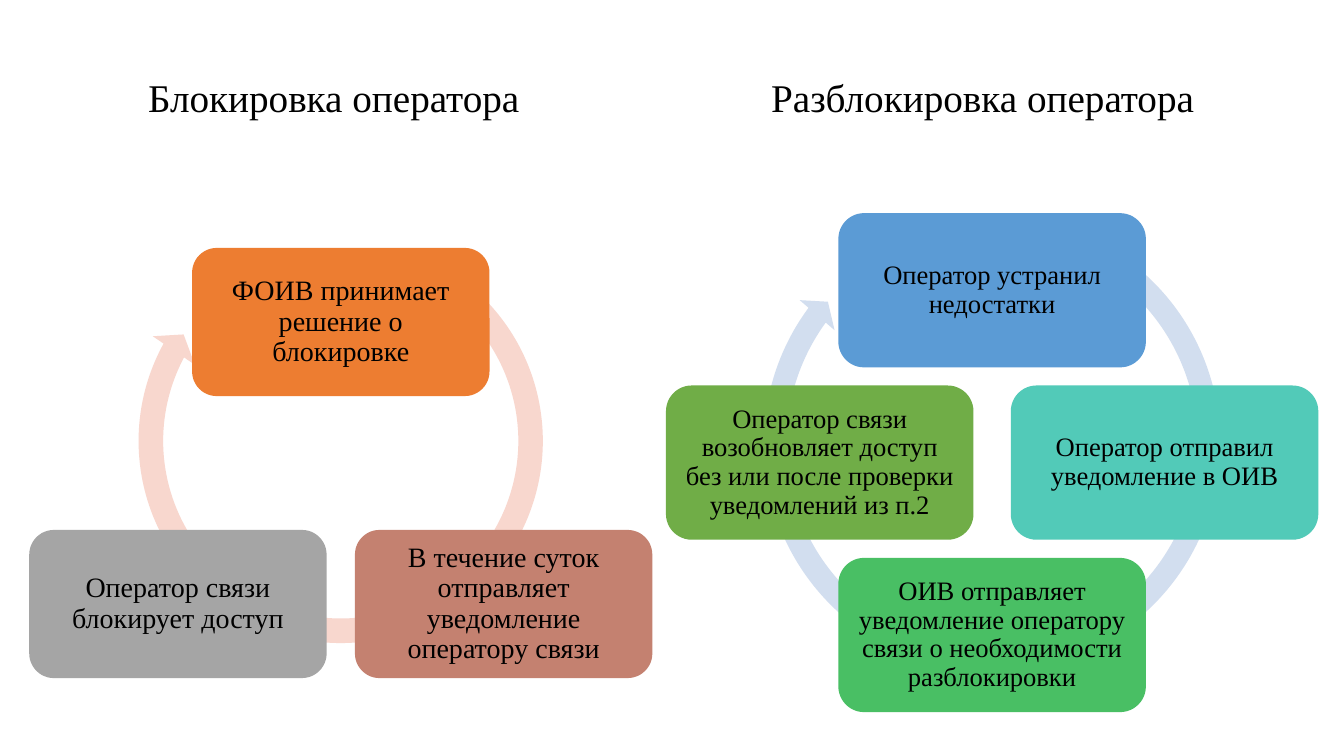
from dataclasses import dataclass
from math import cos, pi, sin

from pptx import Presentation
from pptx.dml.color import RGBColor
from pptx.enum.shapes import MSO_SHAPE
from pptx.enum.text import MSO_ANCHOR, MSO_AUTO_SIZE, PP_ALIGN
from pptx.util import Inches, Pt

ARROW = MSO_SHAPE.CIRCULAR_ARROW
ROUND = MSO_SHAPE.ROUNDED_RECTANGLE
MIDDLE = MSO_ANCHOR.MIDDLE
CENTER = PP_ALIGN.CENTER
LEFT = PP_ALIGN.LEFT
GROW = MSO_AUTO_SIZE.SHAPE_TO_FIT_TEXT

FONT = "Times New Roman"
INK = "000000"
PAD = Inches(0.08)
STEP = {
    "word_wrap": True,
    "vertical_anchor": MIDDLE,
    "margin_left": PAD,
    "margin_right": PAD,
    "margin_top": PAD,
    "margin_bottom": PAD,
}
HEAD = {"word_wrap": False, "auto_size": GROW}


@dataclass
class Node:
    text: str
    fill: str


@dataclass
class Ring:
    top: float
    size: float
    fill: str
    turns: tuple[float, ...]


@dataclass
class Cycle:
    title: str
    left: float
    width: float
    mid_x: float
    mid_y: float
    radius: float
    box_w: float
    box_h: float
    font: int
    ring: Ring
    nodes: list[Node]


CYCLES = [
    Cycle(
        "Блокировка оператора", 1.37, 4.02,
        3.38, 5.06, 1.865, 2.95, 1.47, 20,
        Ring(2.24, 4.27, "F8D7CE", (0.057, 3.405, 125.077, 182.087, 0.059)),
        [
            Node("ФОИВ принимает решение о блокировке", "ED7D31"),
            Node("В течение суток отправляет уведомление оператору связи", "C48170"),
            Node("Оператор связи блокирует доступ", "A5A5A5"),
        ],
    ),
    Cycle(
        "Разблокировка оператора", 7.55, 4.57,
        9.84, 4.59, 1.71, 3.05, 1.53, 19,
        Ring(2.02, 4.76, "D2DEEF", (0.047, 2.729, 129.759, 179.331, 0.048)),
        [
            Node("Оператор устранил недостатки", "5B9BD5"),
            Node("Оператор отправил уведомление в ОИВ", "52CAB8"),
            Node(
                "ОИВ отправляет уведомление оператору связи о необходимости разблокировки",
                "49BF64",
            ),
            Node(
                "Оператор связи возобновляет доступ без или после проверки уведомлений из п.2",
                "70AD47",
            ),
        ],
    ),
]


def color(code: str) -> RGBColor:
    return RGBColor.from_string(code)


def write(shape, text: str, size: int, form: dict, align: PP_ALIGN, pitch: float) -> None:
    frame = shape.text_frame
    for name, value in form.items():
        setattr(frame, name, value)
    para = frame.paragraphs[0]
    para.alignment = align
    para.line_spacing = pitch
    run = para.add_run()
    run.text = text
    run.font.name = FONT
    run.font.size = Pt(size)
    run.font.color.rgb = color(INK)


def draw_shape(slide, kind: MSO_SHAPE, x: float, y: float, w: float, h: float, fill: str):
    shape = slide.shapes.add_shape(
        kind, Inches(x - w / 2), Inches(y - h / 2), Inches(w), Inches(h)
    )
    shape.shadow.inherit = False
    shape.fill.solid()
    shape.fill.fore_color.rgb = color(fill)
    shape.line.fill.background()
    return shape


def draw_cycle(slide, cycle: Cycle) -> None:
    ring = cycle.ring
    arrow = draw_shape(
        slide, ARROW, cycle.mid_x, ring.top + ring.size / 2, ring.size, ring.size, ring.fill
    )
    for i, turn in enumerate(ring.turns):
        arrow.adjustments[i] = turn
    for i, node in enumerate(cycle.nodes):
        angle = 2 * pi * i / len(cycle.nodes)
        x = cycle.mid_x + cycle.radius * sin(angle)
        y = cycle.mid_y - cycle.radius * cos(angle)
        box = draw_shape(slide, ROUND, x, y, cycle.box_w, cycle.box_h, node.fill)
        write(box, node.text, cycle.font, STEP, CENTER, 0.9)
    title = slide.shapes.add_textbox(
        Inches(cycle.left), Inches(0.68), Inches(cycle.width), Inches(0.57)
    )
    write(title, cycle.title, 28, HEAD, LEFT, 1.0)


def main() -> None:
    deck = Presentation()
    deck.slide_width = Inches(13.33)
    deck.slide_height = Inches(7.5)
    slide = deck.slides.add_slide(deck.slide_layouts[6])
    for cycle in CYCLES:
        draw_cycle(slide, cycle)
    deck.save("out.pptx")


if __name__ == "__main__":
    main()
